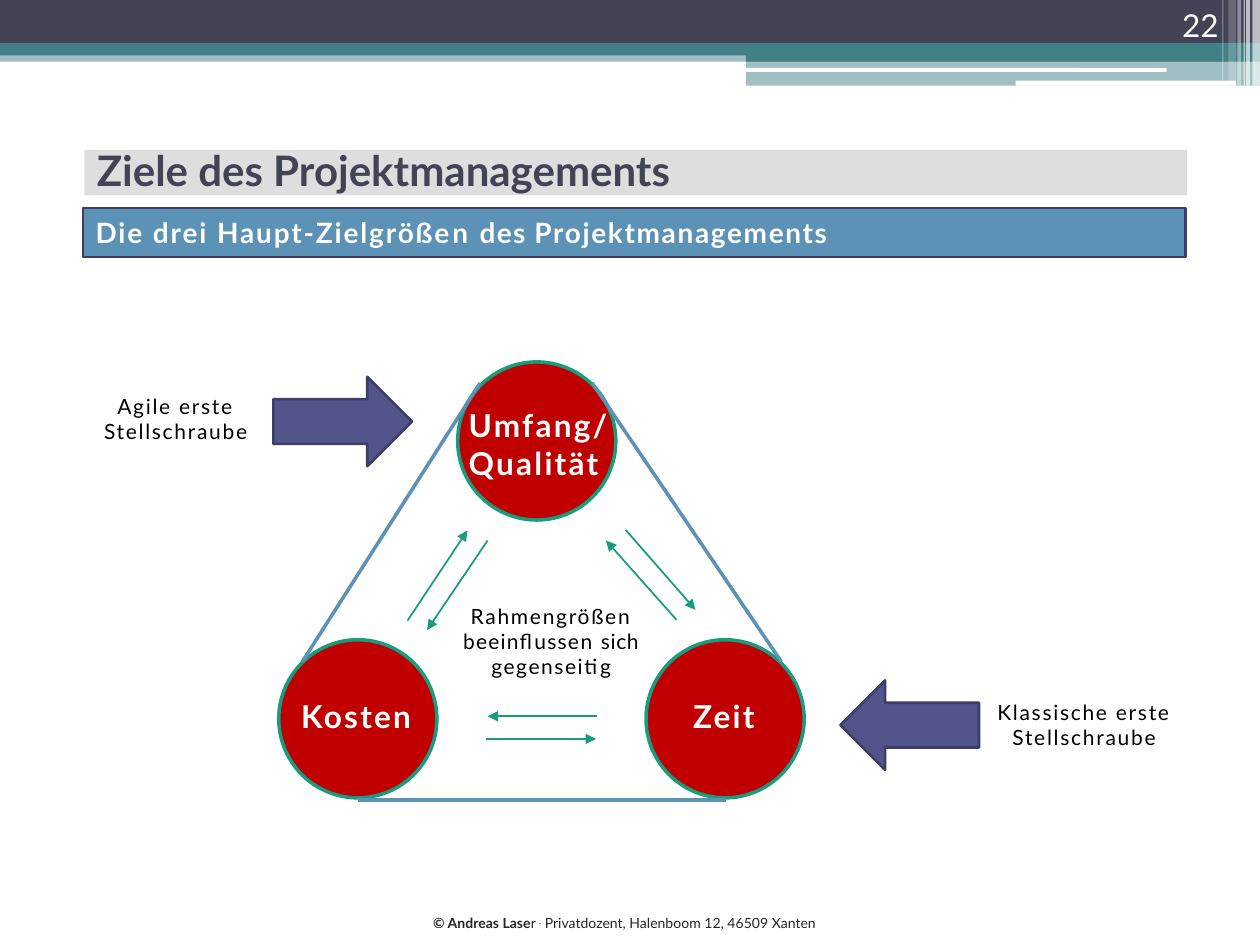
from dataclasses import dataclass
from typing import NamedTuple, Optional

from lxml.etree import SubElement
from pptx import Presentation
from pptx.dml.color import RGBColor
from pptx.enum.shapes import MSO_CONNECTOR, MSO_SHAPE
from pptx.enum.text import MSO_ANCHOR, MSO_AUTO_SIZE, PP_ALIGN
from pptx.oxml.ns import qn
from pptx.util import Inches, Pt

WHITE = RGBColor(0xFF, 0xFF, 0xFF)
BLACK = RGBColor(0, 0, 0)
INK = RGBColor(0x26, 0x26, 0x26)
SLATE = RGBColor(0x42, 0x44, 0x56)
TEAL = RGBColor(0x43, 0x80, 0x86)
GREY = RGBColor(0xDE, 0xDE, 0xDE)
BLUE = RGBColor(0x5C, 0x92, 0xB5)
NAVY = RGBColor(0x3D, 0x3E, 0x66)
VIOLET = RGBColor(0x53, 0x54, 0x8A)
RED = RGBColor(0xC0, 0, 0)
GREEN = RGBColor(0x17, 0x9C, 0x7D)

FONT = "Lato"
COLUMNS, ROWS = 100, 75
RECT, ROUND = MSO_SHAPE.RECTANGLE, MSO_SHAPE.ROUNDED_RECTANGLE
DIAMETER = 12.55

prs = Presentation()
prs.slide_width, prs.slide_height = Inches(10), Inches(7.5)
slide = prs.slides.add_slide(prs.slide_layouts[6])


class Area(NamedTuple):
    col: float
    row: float
    cols: float
    rows: float


class Piece(NamedTuple):
    text: str
    spacing: float = 0
    bold: bool = False
    raised: bool = False


@dataclass
class Block:
    area: Area
    fill: RGBColor
    opacity: int = 100
    kind: MSO_SHAPE = RECT
    outline: Optional[RGBColor] = None
    weight: float = 1.5


@dataclass
class Label:
    area: Area
    pieces: list[Piece]
    size: float
    color: RGBColor
    align: PP_ALIGN = PP_ALIGN.LEFT
    anchor: MSO_ANCHOR = MSO_ANCHOR.TOP
    inset: bool = False
    wrap: bool = True


@dataclass
class Stroke:
    start: tuple[float, float]
    end: tuple[float, float]
    color: RGBColor
    weight: float
    arrow: bool = False


def x(cols: float) -> int:
    return round(prs.slide_width * cols / COLUMNS)


def y(rows: float) -> int:
    return round(prs.slide_height * rows / ROWS)


def place(area: Area) -> tuple[int, int, int, int]:
    return x(area.col), y(area.row), x(area.cols), y(area.rows)


def draw_block(block: Block):
    shape = slide.shapes.add_shape(block.kind, *place(block.area))
    shape.shadow.inherit = False
    shape.fill.solid()
    shape.fill.fore_color.rgb = block.fill
    if block.opacity < 100:
        color = shape.fill._xPr.find(qn("a:solidFill"))[0]
        SubElement(color, qn("a:alpha"), val=str(block.opacity * 1000))
    if block.outline is None:
        shape.line.fill.background()
    else:
        shape.line.color.rgb = block.outline
        shape.line.width = Pt(block.weight)
    return shape


def write(frame, label: Label) -> None:
    frame.word_wrap = label.wrap
    frame.vertical_anchor = label.anchor
    if not label.inset:
        frame.margin_left = frame.margin_right = frame.margin_top = frame.margin_bottom = 0
        frame.auto_size = MSO_AUTO_SIZE.SHAPE_TO_FIT_TEXT
    paragraph = frame.paragraphs[0]
    paragraph.alignment = label.align
    for piece in label.pieces:
        run = paragraph.add_run()
        run.text = piece.text
        run.font.name, run.font.size = FONT, Pt(label.size)
        run.font.bold, run.font.color.rgb = piece.bold, label.color
        if piece.spacing:
            run.font._element.set("spc", str(round(piece.spacing * 100)))
        if piece.raised:
            run.font._element.set("baseline", "30000")


def draw_label(label: Label) -> None:
    write(slide.shapes.add_textbox(*place(label.area)).text_frame, label)


def draw_stroke(stroke: Stroke) -> None:
    (x1, y1), (x2, y2) = stroke.start, stroke.end
    line = slide.shapes.add_connector(MSO_CONNECTOR.STRAIGHT, x(x1), y(y1), x(x2), y(y2))
    line.line.color.rgb = stroke.color
    line.line.width = Pt(stroke.weight)
    if stroke.arrow:
        SubElement(line.line._get_or_add_ln(), qn("a:tailEnd"), type="triangle")
    SubElement(line._element.spPr, qn("a:effectLst"))


def header() -> None:
    bands = [
        Block(Area(0, 4, 100, 0.9), TEAL, 50),
        Block(Area(0, 0, 100, 3.4), SLATE),
        Block(Area(0, 3.4, 100, 1), TEAL),
        Block(Area(59.2, 3.9, 40.8, 1), TEAL),
        Block(Area(59.2, 4.8, 40.8, 2), TEAL, 50),
        Block(Area(59.1, 5.4, 33.5, 0.3), WHITE, kind=ROUND),
        Block(Area(80.6, 6.4, 17.5, 0.4), WHITE, kind=ROUND),
    ]
    stripes = [
        (99.4, 0.6, 6.8, 65), (98.9, 0.3, 6.8, 65), (98.7, 0.1, 6.8, 60),
        (98.2, 0.3, 6.8, 40), (97.5, 0.6, 6.4, 20), (97, 0.1, 6.4, 30),
    ]
    for band in bands:
        draw_block(band)
    for col, cols, rows, opacity in stripes:
        draw_block(Block(Area(col, 0, cols, rows), WHITE, opacity))
    draw_label(Label(Area(89.4, 0, 8.3, 4), [Piece("22")], 18, WHITE,
                     PP_ALIGN.RIGHT, MSO_ANCHOR.BOTTOM, inset=True))


def headings() -> None:
    draw_block(Block(Area(6.7, 11.9, 87.5, 3.6), GREY))
    draw_label(Label(Area(6.7, 7.6, 88.4, 11.7), [Piece("Ziele des Projektmanagements", bold=True)],
                     24, SLATE, anchor=MSO_ANCHOR.MIDDLE, inset=True))
    subtitle = Area(6.6, 16.5, 87.5, 3.9)
    pieces = [("Die drei Haupt-Zielgröße", 1.1), ("n ", 1.4), ("de", 0.8), ("s ", 0.6),
              ("Projektmanagements", 1)]
    bar = draw_block(Block(subtitle, BLUE, outline=NAVY))
    write(bar.text_frame, Label(subtitle, [Piece(text, gap, True) for text, gap in pieces],
                                16, WHITE, anchor=MSO_ANCHOR.MIDDLE, inset=True))


def triangle() -> None:
    goals = [
        (42.6, 35, "Umfang/Qualität", Area(37.2, 32.2, 11.7, 6.1)),
        (57.55, 57.05, "Zeit", Area(55, 55.3, 7.1, 3)),
        (28.4, 57.05, "Kosten", Area(23.9, 55.3, 9.2, 3)),
    ]
    for col, row, name, area in goals:
        circle = Area(col - DIAMETER / 2, row - DIAMETER / 2, DIAMETER, DIAMETER)
        draw_block(Block(circle, RED, kind=MSO_SHAPE.OVAL, outline=GREEN, weight=2))
        draw_label(Label(area, [Piece(name, 1.3, True)], 18, WHITE))
    sides = [((47, 30.4), (62, 52.5)), ((38.1, 30.4), (24, 52.5)), ((28.4, 63.5), (57.6, 63.5))]
    influences = [
        ((32.35, 49.25), (37.1, 42.1)), ((38.7, 42.9), (33.9, 50)),
        ((53.7, 49.2), (48.1, 42.9)), ((49.65, 42.05), (55.2, 48.4)),
        ((38.6, 58.65), (47.3, 58.65)), ((47.4, 56.85), (38.7, 56.85)),
    ]
    for start, end in sides:
        draw_stroke(Stroke(start, end, BLUE, 2))
    for start, end in influences:
        draw_stroke(Stroke(start, end, GREEN, 1, arrow=True))
    pieces = [("Rahmengrößen ", 1), ("beeinflusse", 0.7), ("n ", 0.9), ("sich ", 0.4),
              ("gegenseitig", 0.9)]
    draw_label(Label(Area(36, 47.9, 15.5, 6.1), [Piece(*piece) for piece in pieces],
                     12, BLACK, PP_ALIGN.CENTER))


def levers() -> None:
    for kind, arrow_col, arrow_row, text, col, row in [
        (MSO_SHAPE.RIGHT_ARROW, 21.7, 29.9, "Agile erste Stellschraube", 6.2, 31.2),
        (MSO_SHAPE.LEFT_ARROW, 66.7, 54, "Klassische erste Stellschraube", 78.3, 55.5),
    ]:
        draw_block(Block(Area(arrow_col, arrow_row, 11, 7.1), VIOLET, kind=kind, outline=NAVY))
        draw_label(Label(Area(col, row, 15.5, 4), [Piece(text, 1)], 12, BLACK, PP_ALIGN.CENTER))


def footer() -> None:
    pieces = [Piece("© Andreas Lase", bold=True), Piece("r "), Piece(".", raised=True),
              Piece(" Privatdozent, Halenboom 12, 46509 Xanten")]
    draw_label(Label(Area(33.4, 72.1, 33.7, 2.4), pieces, 8, INK, inset=True, wrap=False))


header()
footer()
headings()
triangle()
levers()
prs.save("out.pptx")
